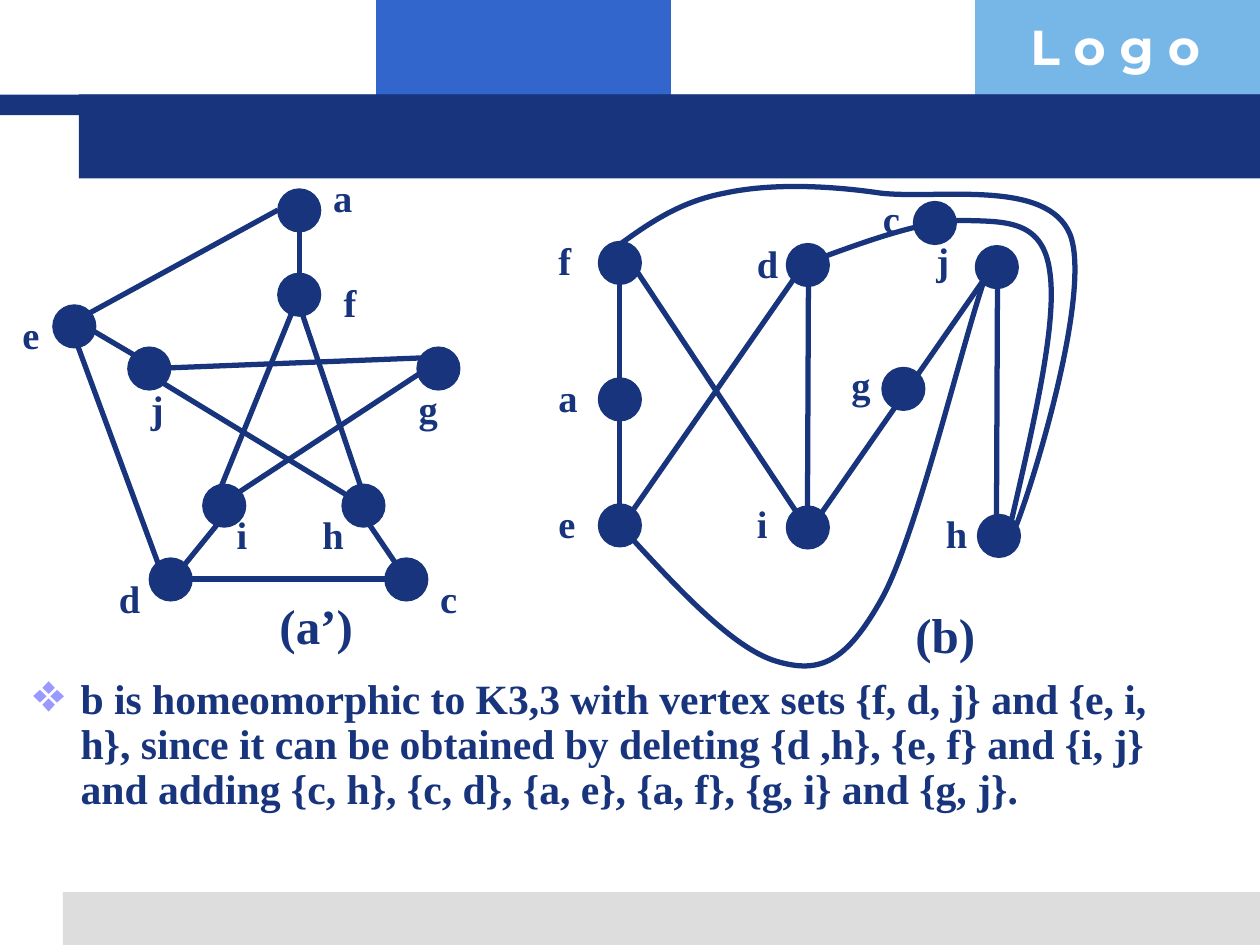
from lxml.etree import SubElement
from pptx import Presentation
from pptx.dml.color import RGBColor
from pptx.enum.shapes import MSO_CONNECTOR, MSO_SHAPE
from pptx.oxml.ns import qn
from pptx.util import Inches, Pt

COLORS = {"navy": "17347D", "blue": "3366CC", "sky": "77B7E7",
          "gray": "DDDDDD", "lilac": "9999FF", "white": "FFFFFF"}
SERIF = "Times New Roman"
WIDTH, HEIGHT = 10, 7.5
GRID = 1 / 12

BANDS = [
    ("blue", 29.86, 0, 23.4, 12.3),
    ("sky", 77.4, 0, 22.6, 12.3),
    ("gray", 5, 94.4, 95, 5.6),
    ("navy", 0, 10, 100, 2.2),
    ("navy", 6.25, 10, 93.75, 8.88),
]

STAR = {
    "origin": (0.42, 1.5),
    "pitch": (3.23 / 38, 3.18 / 38),
    "caption": ("(a’)", 20, 38),
    "nodes": [
        ("a", (21, 0), (25, -2)), ("e", (0, 11), (-4, 11)),
        ("f", (21, 8), (26, 8)), ("j", (7, 15), (8, 18)),
        ("g", (34, 15), (33, 18)), ("i", (14, 28), (16, 30)),
        ("h", (27, 28), (24, 30)), ("d", (9, 35), (5, 36)),
        ("c", (31, 35), (35, 36)),
    ],
    "edges": [
        ((15, 30), (23, 10)), ((2, 14), (10, 36)), ((12, 37), (32, 37)),
        ((10, 17), (35, 16)), ((17, 29), (35, 17)), ((29, 30), (8, 17)),
        ((3, 12), (21, 2)), ((29, 29), (23, 11)), ((23, 9), (23, 3)),
        ((12, 36), (16, 31)), ((33, 37), (29, 31)), ((8, 16), (3, 13)),
    ],
    "curves": [],
}

BIPARTITE = {
    "origin": (0, 0),
    "pitch": (GRID, GRID),
    "caption": ("(b)", 86, 57),
    "nodes": [
        ("f", (57, 23), (52, 22)), ("a", (57, 36), (52, 35)),
        ("e", (57, 48), (52, 47)), ("d", (74.9, 23.2), (70.9, 22.3)),
        ("i", (74.9, 48.2), (70.9, 47)), ("j", (92.9, 23.4), (88, 22)),
        ("h", (93.1, 49), (88.9, 48)), ("c", (87, 19.2), (82.9, 18)),
        ("g", (84, 35), (79.9, 33.8)),
    ],
    "edges": [
        ((59, 36), (59, 26)), ((59, 49), (59, 39)), ((76.9, 49.2), (77, 26)),
        ((76, 49), (60.1, 25)), ((60, 49), (76, 26)),
        ((78, 49.2), (94, 26.2)), ((94.9, 50.2), (95, 27)),
    ],
    "curves": [
        [(59, 23.3), (61.9, 21.2), (64.8, 19.2), (69, 18.4), (73.1, 17.5),
         (78.5, 17.6), (83.9, 18.4), (89.4, 19), (99.7, 17), (101.9, 22.3),
         (104, 27.6), (98.6, 45.4), (96.8, 50)],
        [(59, 50), (64.4, 55.9), (69.8, 61.8), (74, 63), (78.1, 64.2),
         (80.6, 63.1), (84, 57), (87.4, 50.9), (92, 31.2), (94, 26)],
        [(77, 25), (82.6, 22.9), (88.2, 20.9), (92, 21), (95.9, 21.1),
         (99.4, 21), (100, 26), (100.7, 31), (98.3, 41), (96, 51)],
    ],
}

STATEMENT = ("b is homeomorphic to K3,3 with vertex sets {f, d, j} and {e, i, h}, "
             "since it can be obtained by deleting {d ,h}, {e, f} and {i, j} "
             "and adding {c, h}, {c, d}, {a, e}, {a, f}, {g, i} and {g, j}.")


def rgb(name):
    return RGBColor.from_string(COLORS[name])


def add_filled(s, kind, color, x, y, w, h):
    sp = s.shapes.add_shape(kind, Inches(x), Inches(y), Inches(w), Inches(h))
    sp.shadow.inherit = False
    sp.fill.solid()
    sp.fill.fore_color.rgb = rgb(color)
    sp.line.fill.background()
    return sp


def add_text(s, text, x, y, w, h, size, font=SERIF, color="navy"):
    tf = s.shapes.add_textbox(Inches(x), Inches(y), Inches(w), Inches(h)).text_frame
    tf.word_wrap = True
    p = tf.paragraphs[0]
    r = p.add_run()
    r.text = text
    r.font.name = font
    r.font.size = Pt(size)
    r.font.bold = True
    r.font.color.rgb = rgb(color)
    return p


def style_line(line, width):
    line.color.rgb = rgb("navy")
    line.width = Pt(width)


def add_edge(s, start, end):
    sp = s.shapes.add_connector(MSO_CONNECTOR.STRAIGHT, *map(Inches, start + end))
    style_line(sp.line, 3)
    SubElement(sp._element.spPr, qn("a:effectLst"))


def add_curve(s, points):
    points = [(Inches(x), Inches(y)) for x, y in points]
    fb = s.shapes.build_freeform(*points[0])
    fb.add_line_segments(points[1:], close=False)
    sp = fb.convert_to_shape()
    outline = next(sp._element.iter(qn("a:path")))
    segments = outline.findall(qn("a:lnTo"))
    for k in range(0, len(segments), 3):
        cubic = SubElement(outline, qn("a:cubicBezTo"))
        for segment in segments[k:k + 3]:
            cubic.append(segment[0])
            outline.remove(segment)
    sp.shadow.inherit = False
    sp.fill.background()
    style_line(sp.line, 3)


def add_graph(s, graph):
    def place(cell):
        return tuple(o + c * d for o, c, d in
                     zip(graph["origin"], cell, graph["pitch"]))

    for start, end in graph["edges"]:
        add_edge(s, place(start), place(end))
    for points in graph["curves"]:
        add_curve(s, [place(pt) for pt in points])
    for name, node, label in graph["nodes"]:
        sp = add_filled(s, MSO_SHAPE.OVAL, "navy", *place(node), 0.34, 0.34)
        style_line(sp.line, 0.75)
        add_text(s, name, *place(label), 0.43, 0.47, 22)
    caption, col, row = graph["caption"]
    add_text(s, caption, *place((col, row)), 0.8, 0.57, 28)


def add_bullet(p):
    pPr = p._p.get_or_add_pPr()
    pPr.set("marL", str(Inches(3 / 8)))
    pPr.set("indent", str(-Inches(3 / 8)))
    p.line_spacing = 0.9
    color = SubElement(pPr, qn("a:buClr"))
    SubElement(color, qn("a:srgbClr"), val=COLORS["lilac"])
    SubElement(pPr, qn("a:buSzPct"), val="130000")
    SubElement(pPr, qn("a:buChar"), char="❖")


def main():
    prs = Presentation()
    prs.slide_width, prs.slide_height = Inches(WIDTH), Inches(HEIGHT)
    s = prs.slides.add_slide(prs.slide_layouts[6])
    for color, x, y, w, h in BANDS:
        add_filled(s, MSO_SHAPE.RECTANGLE, color, x * WIDTH / 100,
                   y * HEIGHT / 100, w * WIDTH / 100, h * HEIGHT / 100)
    add_text(s, "L o g o", 8.08, 0.08, 1.93, 0.57, 28, "Montserrat", "white")
    for graph in (STAR, BIPARTITE):
        add_graph(s, graph)
    add_bullet(add_text(s, STATEMENT, 2 * GRID, 64 * GRID,
                        113 * GRID, 20 * GRID, 23.8))
    prs.save("out.pptx")


if __name__ == "__main__":
    main()
